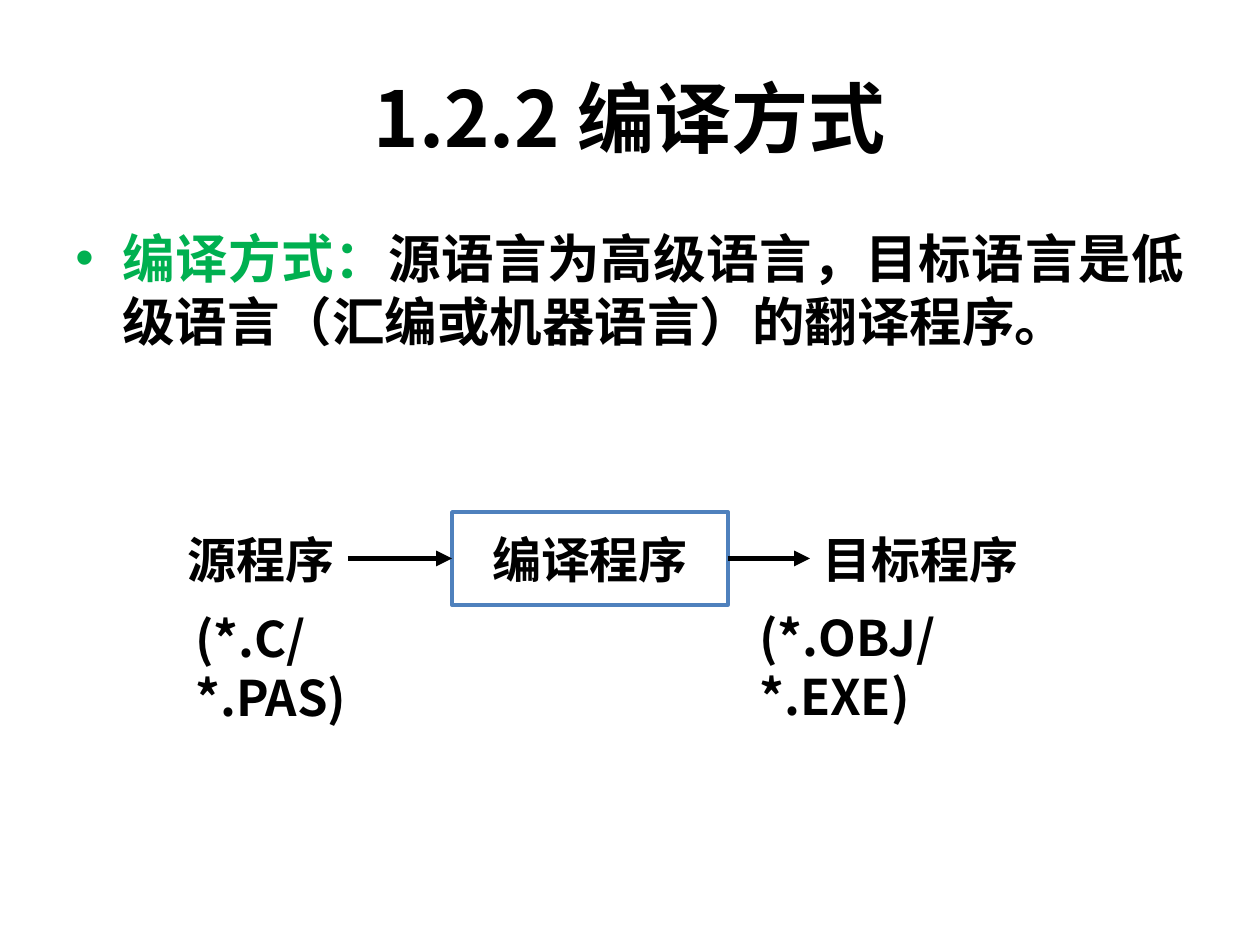
from dataclasses import dataclass
from typing import Any

from lxml.etree import SubElement
from pptx import Presentation
from pptx.dml.color import RGBColor
from pptx.enum.shapes import MSO_CONNECTOR, MSO_SHAPE
from pptx.enum.text import MSO_ANCHOR, PP_ALIGN
from pptx.oxml.ns import qn
from pptx.util import Emu, Pt


@dataclass(frozen=True)
class Theme:
    font: str = "Noto Sans CJK SC"
    ink: str = "000000"
    green: str = "00B050"
    blue: str = "4F81BD"
    paper: str = "FFFFFF"
    title: int = 44
    body: int = 30
    label: int = 28
    edge: int = 2
    arrow: int = 3


@dataclass(frozen=True)
class Box:
    x: int
    y: int
    w: int
    h: int


@dataclass(frozen=True)
class Label:
    text: str
    box: Box
    wrap: bool = False
    pad: int = 13


THEME = Theme()
TITLE = Box(63, 38, 1134, 157)
BODY = Box(63, 220, 1134, 624)
STAGE = Box(452, 512, 276, 93)
INDENT = 47
LABELS = [
    Label("源程序", Box(175, 523, 173, 72)),
    Label("目标程序", Box(810, 523, 236, 72), wrap=True),
    Label("(*.C/*.PAS)", Box(183, 602, 285, 72), wrap=True, pad=100),
    Label("(*.OBJ/*.EXE)", Box(747, 601, 338, 72), wrap=True, pad=113),
]


def px(n: int) -> Emu:
    return Emu(round(n * 914400 / 126))


def place(box: Box) -> tuple[Emu, Emu, Emu, Emu]:
    return px(box.x), px(box.y), px(box.w), px(box.h)


def add_run(para: Any, text: str, size: int, color: str = THEME.ink) -> None:
    run = para.add_run()
    run.text = text
    font = run.font
    font.size, font.bold, font.name = Pt(size), True, THEME.font
    font.color.rgb = RGBColor.from_string(color)
    SubElement(font._element, qn("a:ea"), typeface=THEME.font)


def add_box(slide: Any, box: Box, wrap: bool = True) -> Any:
    frame = slide.shapes.add_textbox(*place(box)).text_frame
    frame.word_wrap = wrap
    return frame


def add_title(slide: Any) -> None:
    frame = add_box(slide, TITLE)
    frame.vertical_anchor = MSO_ANCHOR.MIDDLE
    para = frame.paragraphs[0]
    para.alignment = PP_ALIGN.CENTER
    add_run(para, "1.2.2 编译方式", THEME.title)


def add_body(slide: Any) -> None:
    para = add_box(slide, BODY).paragraphs[0]
    para.alignment = PP_ALIGN.JUSTIFY
    props = para._p.get_or_add_pPr()
    props.set("marL", str(px(INDENT)))
    props.set("indent", str(-px(INDENT)))
    tint = SubElement(props, qn("a:buClr"))
    SubElement(tint, qn("a:srgbClr"), val=THEME.green)
    SubElement(props, qn("a:buFont"), typeface="Arial")
    SubElement(props, qn("a:buChar"), char="•")
    add_run(para, "编译方式：", THEME.body, THEME.green)
    add_run(para, "源语言为高级语言，目标语言是低级语言（汇编或机器语言）的翻译程序。",
            THEME.body)


def add_label(slide: Any, label: Label) -> None:
    frame = add_box(slide, label.box, label.wrap)
    frame.margin_right = px(label.pad)
    add_run(frame.paragraphs[0], label.text, THEME.label)


def add_stage(slide: Any) -> Any:
    """Draw the framed compiler step."""
    shape = slide.shapes.add_shape(MSO_SHAPE.RECTANGLE, *place(STAGE))
    shape.shadow.inherit = False
    shape.fill.solid()
    shape.fill.fore_color.rgb = RGBColor.from_string(THEME.paper)
    shape.line.color.rgb = RGBColor.from_string(THEME.blue)
    shape.line.width = Pt(THEME.edge)
    frame = shape.text_frame
    frame.word_wrap = False
    frame.vertical_anchor = MSO_ANCHOR.MIDDLE
    para = frame.paragraphs[0]
    para.alignment = PP_ALIGN.CENTER
    add_run(para, "编译程序", THEME.label)
    return shape


def add_arrow(slide: Any, left: int, right: int) -> Any:
    mid = px(STAGE.y) + px(STAGE.h) // 2
    line = slide.shapes.add_connector(
        MSO_CONNECTOR.STRAIGHT, px(left), mid, px(right), mid)
    line.line.color.rgb = RGBColor.from_string(THEME.ink)
    line.line.width = Pt(THEME.arrow)
    SubElement(line.line._get_or_add_ln(), qn("a:tailEnd"), type="triangle")
    SubElement(line._element.spPr, qn("a:effectLst"))
    return line


def main() -> None:
    deck = Presentation()
    deck.slide_width, deck.slide_height = px(1260), px(945)
    slide = deck.slides.add_slide(deck.slide_layouts[6])
    add_title(slide)
    add_body(slide)
    for label in LABELS:
        add_label(slide, label)
    stage = add_stage(slide)
    add_arrow(slide, 348, STAGE.x).end_connect(stage, 1)
    add_arrow(slide, STAGE.x + STAGE.w, 810).begin_connect(stage, 3)
    deck.save("out.pptx")


if __name__ == "__main__":
    main()
